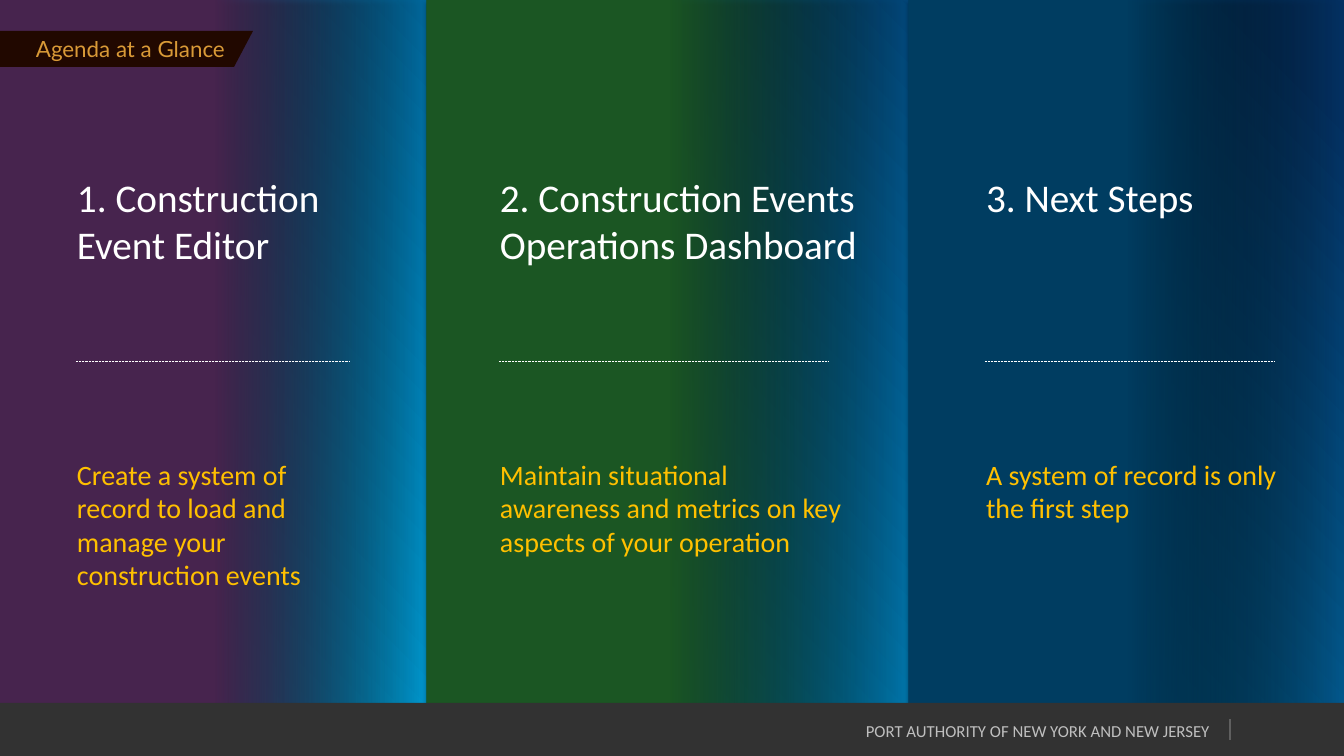
import pptx
import pptx.dml.color
import pptx.enum.dml
import pptx.enum.shapes
import pptx.enum.text
import pptx.oxml
import pptx.oxml.ns
import pptx.util

RGB = pptx.dml.color.RGBColor
ALIGN = pptx.enum.text.PP_ALIGN
ANCHOR = pptx.enum.text.MSO_ANCHOR

PURPLE = RGB(0x47, 0x24, 0x4E)
GREEN = RGB(0x1B, 0x56, 0x23)
BLUE = RGB(0x00, 0x3D, 0x61)
CYAN = RGB(0x00, 0xB9, 0xF2)
NAVY = RGB(0x05, 0x32, 0x64)
BLACK = RGB(0x00, 0x00, 0x00)
WHITE = RGB(0xFF, 0xFF, 0xFF)
BROWN = RGB(0x21, 0x08, 0x00)
AMBER = RGB(0xED, 0xAA, 0x3E)
GOLD = RGB(0xFF, 0xC0, 0x00)
DARK = RGB(0x32, 0x32, 0x32)
GREY = RGB(0x5F, 0x5F, 0x5F)
SILVER = RGB(0xBF, 0xBF, 0xBF)

WIDE, HIGH = 1344, 756
FOOT = 703
PX = 914400 / 100.8
NS = pptx.oxml.ns.nsdecls("a")

# left, width, colour
PANELS = [(427, 482, GREEN), (0, 427, PURPLE), (909, 435, BLUE)]

# left, rule width, title width, title, body width, body
ITEMS = [
    (77, 273, 273, "1. Construction Event Editor",
     287, "Create a system of record to load and manage your construction events"),
    (500, 329, 442, "2. Construction Events Operations Dashboard",
     347, "Maintain situational awareness and metrics on key aspects of your operation"),
    (986, 290, 316, "3. Next Steps",
     316, "A system of record is only the first step"),
]


def px(num):
    return round(num * PX)


def blend(root, stops, shade):
    """Swap the solid fill under root for a gradient of (place, colour, alpha) stops."""
    marks = "".join(
        f'<a:gs pos="{place * 1000}"><a:srgbClr val="{tint}">'
        f'<a:alpha val="{alpha * 1000}"/></a:srgbClr></a:gs>'
        for place, tint, alpha in stops)
    grad = pptx.oxml.parse_xml(
        f'<a:gradFill {NS} rotWithShape="1"><a:gsLst>{marks}</a:gsLst>{shade}</a:gradFill>')
    old = root.xpath(".//a:solidFill")[0]
    old.getparent().replace(old, grad)


class Deck:
    font = "Calibri"

    def __init__(self):
        self.prs = pptx.Presentation()
        self.prs.slide_width, self.prs.slide_height = px(WIDE), px(HIGH)
        self.slide = self.prs.slides.add_slide(self.prs.slide_layouts[6])
        self.shapes = self.slide.shapes

    def back(self):
        fill = self.slide.background.fill
        fill.solid()
        fill.fore_color.rgb = CYAN
        blend(self.slide.element, [(0, CYAN, 100), (95, NAVY, 100)],
              '<a:path path="circle"><a:fillToRect t="100000" r="100000"/></a:path>')

    def paint(self, shape, color):
        shape.shadow.inherit = False
        shape.fill.solid()
        shape.fill.fore_color.rgb = color
        shape.line.fill.background()
        return shape

    def rect(self, left, top, width, height, color):
        kind = pptx.enum.shapes.MSO_SHAPE.RECTANGLE
        shape = self.shapes.add_shape(kind, px(left), px(top), px(width), px(height))
        return self.paint(shape, color)

    def panel(self, left, width, color):
        """Draw a column that fades to clear on its right half."""
        props = self.rect(left, 0, width, HIGH, color).element.spPr
        blend(props, [(0, color, 100), (50, color, 100), (100, BLACK, 0)],
              '<a:lin ang="0" scaled="0"/>')
        props.xpath("a:effectLst")[0].append(pptx.oxml.parse_xml(
            f'<a:outerShdw {NS} blurRad="39370" dist="22860" dir="5400000" rotWithShape="0">'
            '<a:srgbClr val="000000"><a:alpha val="35000"/></a:srgbClr></a:outerShdw>'))

    def line(self, start, end, color, width, dash=None):
        kind = pptx.enum.shapes.MSO_CONNECTOR.STRAIGHT
        line = self.shapes.add_connector(kind, *map(px, start + end))
        line.line.color.rgb = color
        line.line.width = pptx.util.Pt(width)
        if dash:
            line.line.dash_style = dash
        line.element.spPr.append(pptx.oxml.parse_xml(f"<a:effectLst {NS}/>"))

    def fit(self, shape, text, size, color, align=ALIGN.LEFT, anchor=ANCHOR.TOP,
            font=None, right=0, wrap=True):
        """Put one run of text into a shape."""
        frame = shape.text_frame
        frame.word_wrap = wrap
        frame.vertical_anchor = anchor
        frame.margin_left = frame.margin_top = frame.margin_bottom = 0
        frame.margin_right = px(right)
        para = frame.paragraphs[0]
        para.alignment = align
        run = para.add_run()
        run.text = text
        run.font.size = pptx.util.Pt(size)
        run.font.name = font or self.font
        run.font.color.rgb = color

    def text(self, left, top, width, height, *words, **style):
        box = self.shapes.add_textbox(px(left), px(top), px(width), px(height))
        self.fit(box, *words, **style)

    def tag(self, text):
        """Draw the slanted label at the top left."""
        form = self.shapes.build_freeform(0, 31, scale=PX)
        form.add_line_segments([(253, 31), (234, 67), (0, 67)], close=True)
        shape = self.paint(form.convert_to_shape(), BROWN)
        self.fit(shape, text, 16, AMBER, ALIGN.RIGHT, ANCHOR.MIDDLE,
                 font="Lato", right=28, wrap=False)
        tint = shape.element.xpath(".//a:r//a:srgbClr")[0]
        tint.append(pptx.oxml.parse_xml(f'<a:alpha {NS} val="90000"/>'))


def main():
    deck = Deck()
    deck.back()
    for panel in PANELS:
        deck.panel(*panel)
    deck.tag("Agenda at a Glance")
    dots = pptx.enum.dml.MSO_LINE.ROUND_DOT
    for left, rule, wide, title, span, body in ITEMS:
        deck.text(left, 173, wide, 95, title, 28, WHITE)
        deck.line((left - 1, 361), (left - 1 + rule, 361), WHITE, 0.5, dots)
        deck.text(left, 457, span, 136, body, 20, GOLD)
    deck.rect(0, FOOT, WIDE, HIGH - FOOT, DARK)
    deck.line((1230, 719), (1230, 740), GREY, 0.75)
    deck.text(662, 711, 548, 40, "PORT AUTHORITY OF NEW YORK AND NEW JERSEY", 12, SILVER,
              align=ALIGN.RIGHT, anchor=ANCHOR.MIDDLE)
    deck.prs.save("out.pptx")


if __name__ == "__main__":
    main()
